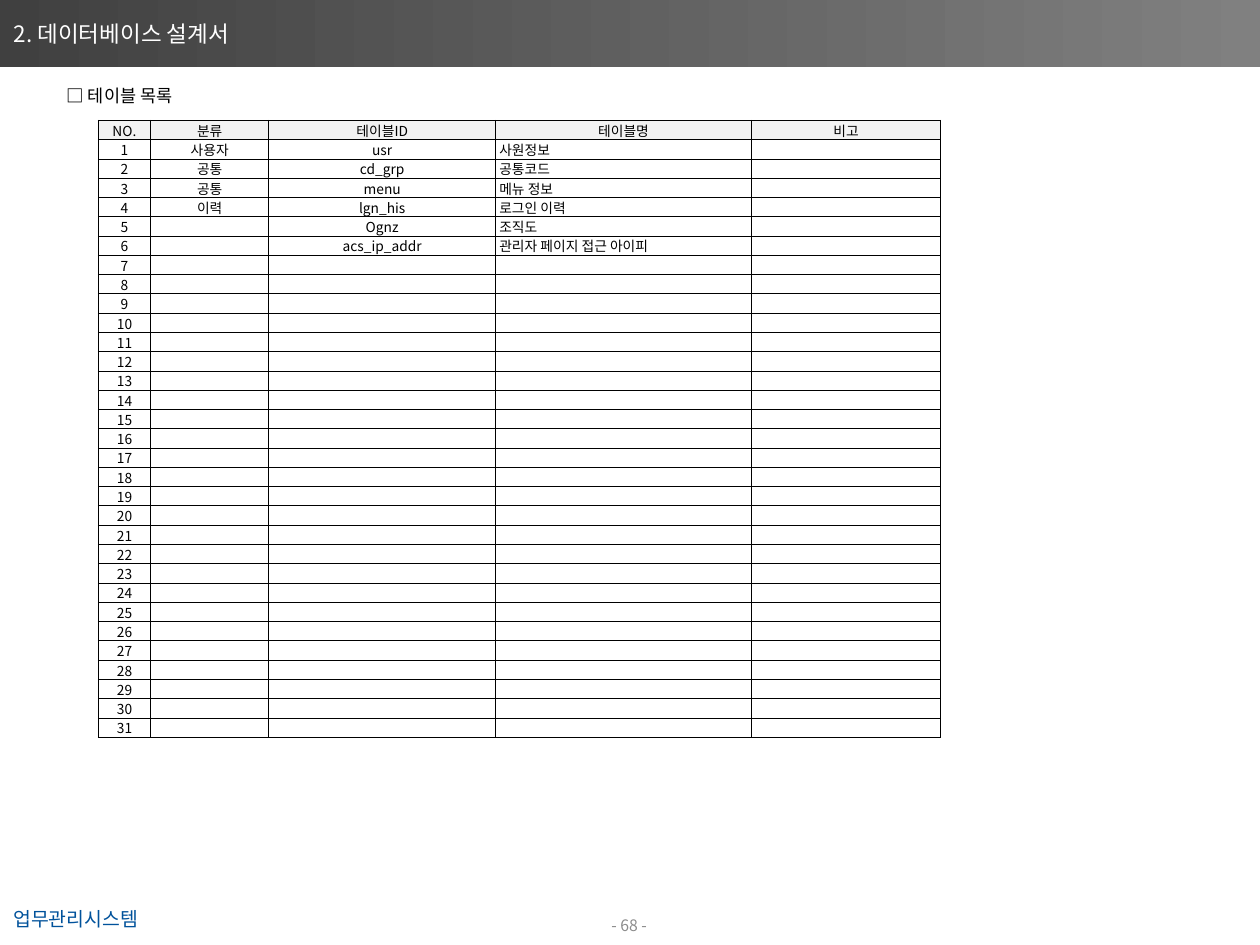
import dataclasses
import typing

import lxml.etree
import pptx
import pptx.dml.color
import pptx.enum.shapes
import pptx.enum.text
import pptx.oxml.ns
import pptx.util

Pt = pptx.util.Pt
ALIGN = pptx.enum.text.PP_ALIGN
ANCHOR = pptx.enum.text.MSO_ANCHOR
FONT = "Noto Sans CJK KR"
COLORS = {
    "black": "000000",
    "white": "FFFFFF",
    "header": "F2F2F2",
    "band_start": "404040",
    "band_end": "808080",
    "system": "00529B",
    "page": "8C8C8C",
}
HEADINGS = ["NO.", "분류", "테이블ID", "테이블명", "비고"]
ENTRIES = [
    ("사용자", "usr", "사원정보"),
    ("공통", "cd_grp", "공통코드"),
    ("공통", "menu", "메뉴 정보"),
    ("이력", "lgn_his", "로그인 이력"),
    ("", "Ognz", "조직도"),
    ("", "acs_ip_addr", "관리자 페이지 접근 아이피"),
]
ENTRY_ROWS = 31
COLUMN_WIDTHS = [42, 94.4, 181.6, 204.6, 151.4]
NAME_COLUMN = 3
ROW_HEIGHT = 15.43
CELL_SIZE = 11


@dataclasses.dataclass
class Label:
    text: str
    left: float
    top: float
    width: float
    height: float
    size: float
    color: str
    align: typing.Any = ALIGN.LEFT
    anchor: typing.Any = ANCHOR.TOP


LABELS = [
    Label("- 68 -", 392.4, 728.6, 221.8, 22.3, 12.6, "page", ALIGN.CENTER, ANCHOR.MIDDLE),
    Label("업무관리시스템", 3.6, 722.2, 203.8, 25.9, 15.5, "system"),
]


def rgb(name: str) -> pptx.dml.color.RGBColor:
    return pptx.dml.color.RGBColor.from_string(COLORS[name])


def apply(target: typing.Any, values: dict) -> None:
    for name, value in values.items():
        setattr(target, name, value)


def add_span(para, text: str, size: float, color: str, bold: bool = False) -> None:
    span = para.add_run()
    span.text = text
    apply(span.font, {"name": FONT, "size": Pt(size), "bold": bold})
    span.font.color.rgb = rgb(color)
    properties = span.font._element
    east_asian = lxml.etree.SubElement(properties, pptx.oxml.ns.qn("a:ea"))
    east_asian.set("typeface", FONT)


def add_label(page, label: Label) -> None:
    box = page.shapes.add_textbox(
        Pt(label.left), Pt(label.top), Pt(label.width), Pt(label.height)
    )
    apply(box.text_frame, {"word_wrap": True, "vertical_anchor": label.anchor})
    para = box.text_frame.paragraphs[0]
    para.alignment = label.align
    add_span(para, label.text, label.size, label.color)


def format_title(page) -> None:
    title = page.shapes.title
    apply(title, {"left": Pt(0), "top": Pt(0), "width": Pt(1008), "height": Pt(53.3)})
    title.fill.gradient()
    title.fill.gradient_angle = 0
    for stop, color in zip(title.fill.gradient_stops, ("band_start", "band_end")):
        stop.color.rgb = rgb(color)
    apply(title.text_frame, {
        "margin_left": Pt(11),
        "vertical_anchor": ANCHOR.MIDDLE,
        "auto_size": pptx.enum.text.MSO_AUTO_SIZE.NONE,
        "word_wrap": True,
    })
    para = title.text_frame.paragraphs[0]
    para.alignment = ALIGN.LEFT
    add_span(para, "2. 데이터베이스 설계서", 18, "white")


def add_subtitle(page) -> None:
    box = page.shapes.add_textbox(Pt(46.1), Pt(59.8), Pt(275.8), Pt(29.5))
    box.text_frame.word_wrap = True
    para = box.text_frame.paragraphs[0]
    apply(para, {"alignment": ALIGN.JUSTIFY, "line_spacing": 1.3})
    add_span(para, "□ ", 14, "black", True)
    add_span(para, "테이블 목록", 14, "black")


def add_borders(cell) -> None:
    properties = cell._tc.get_or_add_tcPr()
    for index, side in enumerate(("lnL", "lnR", "lnT", "lnB")):
        line = lxml.etree.Element(pptx.oxml.ns.qn(f"a:{side}"), w=str(Pt(0.5)))
        fill = lxml.etree.SubElement(line, pptx.oxml.ns.qn("a:solidFill"))
        lxml.etree.SubElement(fill, pptx.oxml.ns.qn("a:srgbClr"), val=COLORS["black"])
        properties.insert(index, line)


def format_cell(cell, text: str, align, is_header: bool) -> None:
    apply(cell, {
        "margin_left": Pt(2.9),
        "margin_right": Pt(2.9),
        "margin_top": Pt(0),
        "margin_bottom": Pt(0),
        "vertical_anchor": ANCHOR.MIDDLE,
    })
    if is_header:
        cell.fill.solid()
        cell.fill.fore_color.rgb = rgb("header")
    else:
        cell.fill.background()
    add_borders(cell)
    para = cell.text_frame.paragraphs[0]
    para.alignment = align
    if text:
        add_span(para, text, CELL_SIZE, "black")
    else:
        lxml.etree.SubElement(
            para._p, pptx.oxml.ns.qn("a:endParaRPr"), sz=str(CELL_SIZE * 100)
        )


def add_listing(page) -> None:
    rows = [HEADINGS]
    for number in range(1, ENTRY_ROWS + 1):
        entry = ENTRIES[number - 1] if number <= len(ENTRIES) else ("", "", "")
        rows.append([str(number), *entry, ""])
    table = page.shapes.add_table(
        len(rows), len(HEADINGS), Pt(78.6), Pt(96.2),
        Pt(sum(COLUMN_WIDTHS)), Pt(ROW_HEIGHT * len(rows)),
    ).table
    apply(table, {"first_row": False, "horz_banding": False})
    for column, width in zip(table.columns, COLUMN_WIDTHS):
        column.width = Pt(width)
    for row_index, texts in enumerate(rows):
        table.rows[row_index].height = Pt(ROW_HEIGHT)
        for column_index, text in enumerate(texts):
            is_header = row_index == 0
            is_name = column_index == NAME_COLUMN and not is_header
            align = ALIGN.LEFT if is_name else ALIGN.CENTER
            format_cell(table.cell(row_index, column_index), text, align, is_header)


def main() -> None:
    deck = pptx.Presentation()
    apply(deck, {"slide_width": Pt(1008), "slide_height": Pt(756)})
    page = deck.slides.add_slide(deck.slide_layouts[5])
    format_title(page)
    for label in LABELS:
        add_label(page, label)
    add_subtitle(page)
    add_listing(page)
    deck.save("out.pptx")


if __name__ == "__main__":
    main()
